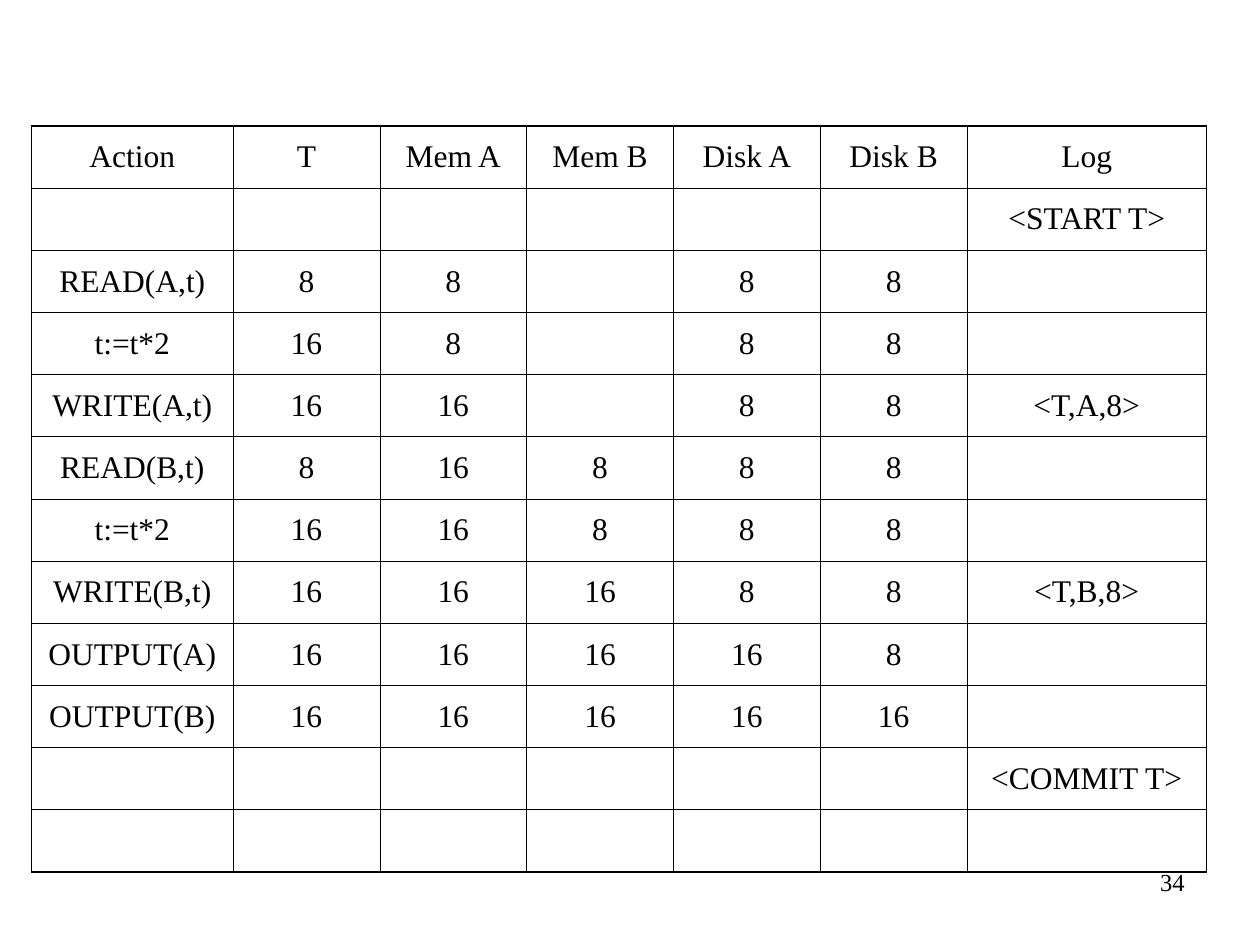
from lxml import etree
from pptx import Presentation
from pptx import util as u
from pptx.dml.color import RGBColor
from pptx.enum import text
from pptx.oxml import ns

BLACK = RGBColor(0, 0, 0)
FONT = "Times New Roman"
THIN, THICK = 0.45, 1.08  # border widths, points

HEADER = ("Action", "T", "Mem A", "Mem B", "Disk A", "Disk B", "Log")
STEPS = [
    ("", "", "", "", "", "", "<START T>"),
    ("READ(A,t)", "8", "8", "", "8", "8", ""),
    ("t:=t*2", "16", "8", "", "8", "8", ""),
    ("WRITE(A,t)", "16", "16", "", "8", "8", "<T,A,8>"),
    ("READ(B,t)", "8", "16", "8", "8", "8", ""),
    ("t:=t*2", "16", "16", "8", "8", "8", ""),
    ("WRITE(B,t)", "16", "16", "16", "8", "8", "<T,B,8>"),
    ("OUTPUT(A)", "16", "16", "16", "16", "8", ""),
    ("OUTPUT(B)", "16", "16", "16", "16", "16", ""),
    ("", "", "", "", "", "", "<COMMIT T>"),
    ("", "", "", "", "", "", ""),
]
PAGE_NUMBER = "34"

ACTION_WIDTH, VALUE_WIDTH, LOG_WIDTH = 1.6, 1.165, 1.9
TABLE_LEFT, TABLE_TOP, TABLE_HEIGHT = 0.25, 1, 5.92


def write(paragraph, words, size, align):
    paragraph.alignment = align
    run = paragraph.add_run()
    run.text = words
    run.font.name = FONT
    run.font.size = u.Pt(size)
    run.font.color.rgb = BLACK


def add_border(cell, side, width):
    line = etree.SubElement(cell._tc.get_or_add_tcPr(), ns.qn(f"a:ln{side}"),
                            w=str(int(u.Pt(width))))
    fill = etree.SubElement(line, ns.qn("a:solidFill"))
    etree.SubElement(fill, ns.qn("a:srgbClr"), val=str(BLACK))


prs = Presentation()
prs.slide_width, prs.slide_height = u.Inches(10), u.Inches(7.5)
slide = prs.slides.add_slide(prs.slide_layouts[6])

# Page number
page = slide.shapes.add_textbox(u.Inches(7.42), u.Inches(6.83),
                                u.Inches(2.08), u.Inches(0.5)).text_frame
page.word_wrap = True
write(page.paragraphs[0], PAGE_NUMBER, 14, text.PP_ALIGN.RIGHT)

# Undo-log table
rows = [HEADER] + STEPS
widths = [ACTION_WIDTH] + [VALUE_WIDTH] * (len(HEADER) - 2) + [LOG_WIDTH]
log_table = slide.shapes.add_table(
    len(rows), len(widths), u.Inches(TABLE_LEFT), u.Inches(TABLE_TOP),
    u.Inches(sum(widths)), u.Inches(TABLE_HEIGHT)).table
log_table.first_row = log_table.horz_banding = False
for column, width in zip(log_table.columns, widths):
    column.width = u.Inches(width)

# Cells: thick outer frame, thin inner grid
last_row, last_col = len(rows) - 1, len(widths) - 1
for r, row in enumerate(rows):
    for c, words in enumerate(row):
        cell = log_table.cell(r, c)
        cell.vertical_anchor = text.MSO_ANCHOR.MIDDLE
        outer = {"L": c == 0, "R": c == last_col, "T": r == 0, "B": r == last_row}
        for side, on_frame in outer.items():
            add_border(cell, side, THICK if on_frame else THIN)
        cell.fill.background()
        if words:
            write(cell.text_frame.paragraphs[0], words, 18, text.PP_ALIGN.CENTER)

prs.save("out.pptx")
